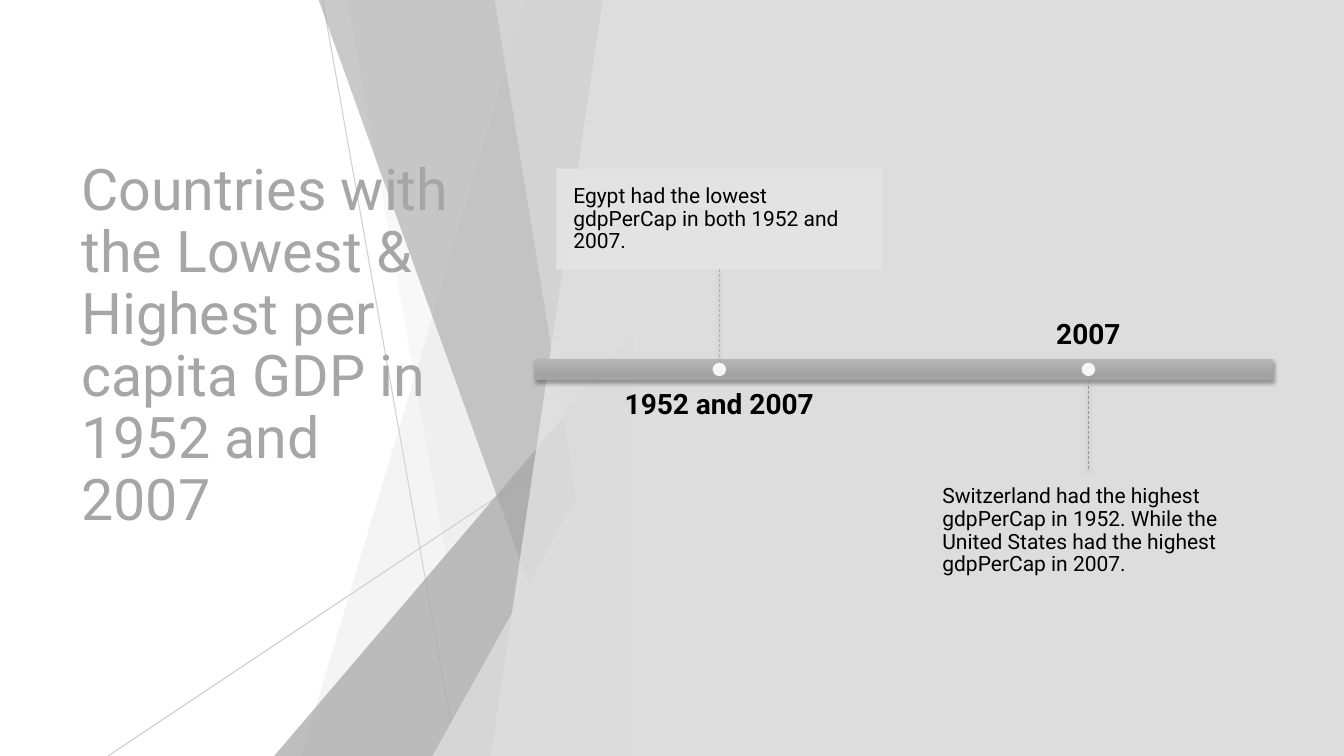
"""Build a timeline slide on the lowest and highest GDP per capita."""
from lxml import etree
from pptx import Presentation
from pptx import util as u
from pptx.dml.color import RGBColor
from pptx.enum import dml, shapes, text
from pptx.oxml.ns import qn


def paint(color, code, owner=None, opacity=100):
    color.rgb = RGBColor.from_string(code)
    if opacity < 100:
        tint = list(owner.element.spPr.iter(qn("a:srgbClr")))[-1]
        etree.SubElement(tint, qn("a:alpha"), val=str(opacity * 1000))


def set_shadow(part, visible=False):
    effects = etree.SubElement(part.element.spPr, qn("a:effectLst"))
    if visible:
        outer = etree.SubElement(effects, qn("a:outerShdw"), blurRad="38100",
                                 dist="25400", dir="5400000", rotWithShape="0")
        black = etree.SubElement(outer, qn("a:srgbClr"), val="000000")
        etree.SubElement(black, qn("a:alpha"), val="35000")


deck = Presentation()
deck.slide_width, deck.slide_height = u.Cm(33.87), u.Cm(19.05)
slide = deck.slides.add_slide(deck.slide_layouts[6])
canvas = slide.shapes
BOTTOM = 19.05
EDGE = 15.95

for x1, y1, x2, opacity in [(8.13, 0, 11.51, 75), (EDGE, 10.24, 2.72, 80)]:
    ray = canvas.add_connector(shapes.MSO_CONNECTOR.STRAIGHT,
                               u.Cm(x1), u.Cm(y1), u.Cm(x2), u.Cm(BOTTOM))
    ray.line.width = u.Pt(0.75)
    ray.line.fill.solid()
    paint(ray.line.color, "BFBFBF", ray, opacity)
    set_shadow(ray)

facets = [
    ("band", 13.28, 7.59, "DDDDDD", 30),
    ("band", 8.76, 12.14, "DDDDDD", 20),
    ("corner", 6.91, 8.46, "A6A6A6", 72),
    ("band", 8.03, 14.88, "A6A6A6", 60),
    ("band", 15.19, 12.37, "EBEBEB", 70),
    ("band", 12.47, 15.57, "DDDDDD", 65),
    ("corner", 10.9, 9.98, "DDDDDD", 80),
]
for kind, first, second, colour, opacity in facets:
    if kind == "band":
        outline = canvas.build_freeform(u.Cm(first), 0)
        outline.add_line_segments([
            (u.Cm(EDGE), 0), (u.Cm(EDGE), u.Cm(BOTTOM)), (u.Cm(second), u.Cm(BOTTOM))])
        facet = outline.convert_to_shape()
    else:
        facet = canvas.add_shape(shapes.MSO_SHAPE.ISOSCELES_TRIANGLE, u.Cm(first), u.Cm(second),
                                 u.Cm(EDGE - first), u.Cm(BOTTOM - second))
        facet.adjustments[0] = 1
    facet.fill.solid()
    paint(facet.fill.fore_color, colour, facet, opacity)
    facet.line.fill.background()
    set_shadow(facet)

title = canvas.add_textbox(u.Cm(1.8), u.Cm(3.84), u.Cm(9.86), u.Cm(11.38))
title.text_frame.text = "Countries with the Lowest & Highest per capita GDP in 1952 and 2007"
title.text_frame.margin_bottom = u.Cm(1.68)

panel = canvas.add_shape(shapes.MSO_SHAPE.RECTANGLE, u.Cm(EDGE), 0, u.Cm(17.92), u.Cm(BOTTOM))
panel.fill.solid()
paint(panel.fill.fore_color, "DDDDDD")
panel.line.fill.background()
set_shadow(panel)

axis = canvas.add_shape(shapes.MSO_SHAPE.RECTANGLE,
                        u.Cm(13.49), u.Cm(9.04), u.Cm(18.59), u.Cm(0.53))
axis.fill.gradient()
axis.fill.gradient_angle = 270
for stop, position, colour in zip(axis.fill.gradient_stops, (0, 0.78), ("B6B6B6", "A3A3A3")):
    stop.position = position
    paint(stop.color, colour)
axis.line.fill.background()
set_shadow(axis, visible=True)

MIDDLE, TOP = text.MSO_ANCHOR.MIDDLE, text.MSO_ANCHOR.TOP
LEFT, CENTER = text.PP_ALIGN.LEFT, text.PP_ALIGN.CENTER
writings = [(title, 41, "A6A6A6", False, MIDDLE, LEFT)]

events = [
    ("1952 and 2007", 9.83, TOP, "Egypt had the lowest gdpPerCap in both 1952 and 2007.",
     4.27, 2.51, "E4E4E4", 6.78, 9.04, "B2B2B2"),
    ("2007", 7.32, text.MSO_ANCHOR.BOTTOM,
     "Switzerland had the highest gdpPerCap in 1952. "
     "While the United States had the highest gdpPerCap in 2007.",
     11.86, 3.05, "DDDDDD", 9.6, 11.86, "969696"),
]
for index, (years, years_top, anchor, finding, top, height, colour,
            stem_top, stem_bottom, stem_colour) in enumerate(events):
    center = 18.13 + 9.3 * index

    date = canvas.add_textbox(u.Cm(center - 3.72), u.Cm(years_top), u.Cm(7.44), u.Cm(1.52))
    date.text_frame.text = years

    note = canvas.add_shape(shapes.MSO_SHAPE.RECTANGLE,
                            u.Cm(center - 4.09), u.Cm(top), u.Cm(8.18), u.Cm(height))
    note.fill.solid()
    paint(note.fill.fore_color, colour, note, 90)
    note.line.width = u.Pt(1)
    note.line.fill.solid()
    paint(note.line.color, colour, note, 90)
    set_shadow(note)
    note.text_frame.text = finding

    for box, margin in [(date, 0), (note, 0.41)]:
        frame = box.text_frame
        frame.margin_left = frame.margin_right = u.Cm(margin)
        frame.margin_top = frame.margin_bottom = u.Cm(margin)
    writings += [(date, 20, "000000", True, anchor, CENTER),
                 (note, 15, "000000", False, MIDDLE, LEFT)]

    stem = canvas.add_connector(shapes.MSO_CONNECTOR.STRAIGHT, u.Cm(center), u.Cm(stem_top),
                                u.Cm(center), u.Cm(stem_bottom))
    stem.line.width = u.Pt(0.5)
    stem.line.fill.solid()
    paint(stem.line.color, stem_colour)
    stem.line.dash_style = dml.MSO_LINE.DASH
    set_shadow(stem, visible=True)

    marker = canvas.add_shape(shapes.MSO_SHAPE.OVAL,
                              u.Cm(center - 0.17), u.Cm(9.14), u.Cm(0.34), u.Cm(0.34))
    marker.fill.solid()
    paint(marker.fill.fore_color, "FFFFFF", marker, 90)
    marker.line.fill.background()
    set_shadow(marker)

for box, size, colour, bold, anchor, align in writings:
    frame = box.text_frame
    frame.word_wrap = True
    frame.vertical_anchor = anchor
    paragraph = frame.paragraphs[0]
    paragraph.alignment = align
    paragraph.line_spacing = 0.9
    font = paragraph.runs[0].font
    font.name = "Roboto"
    font.size = u.Pt(size)
    font.bold = bold
    paint(font.color, colour)

deck.save("out.pptx")
